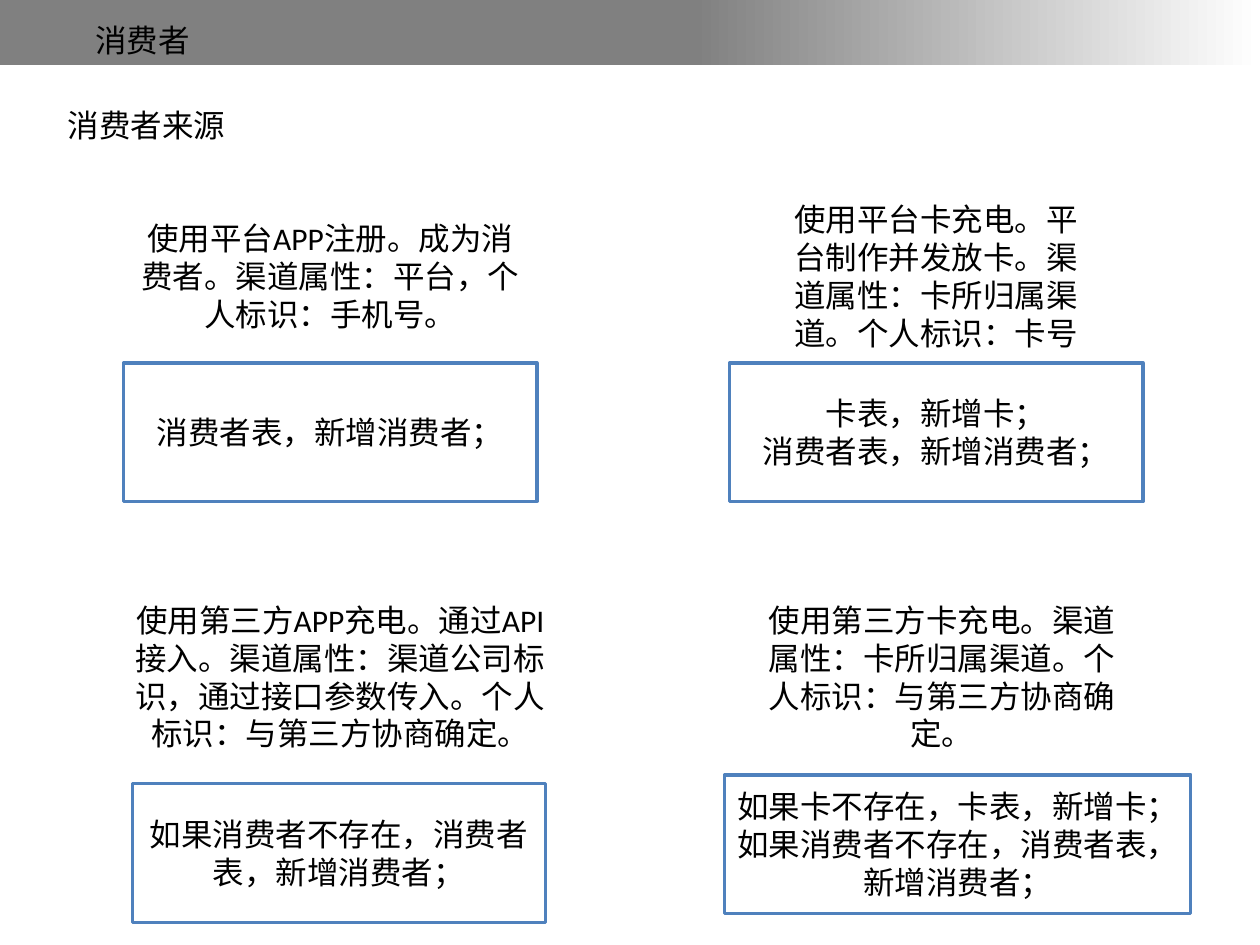
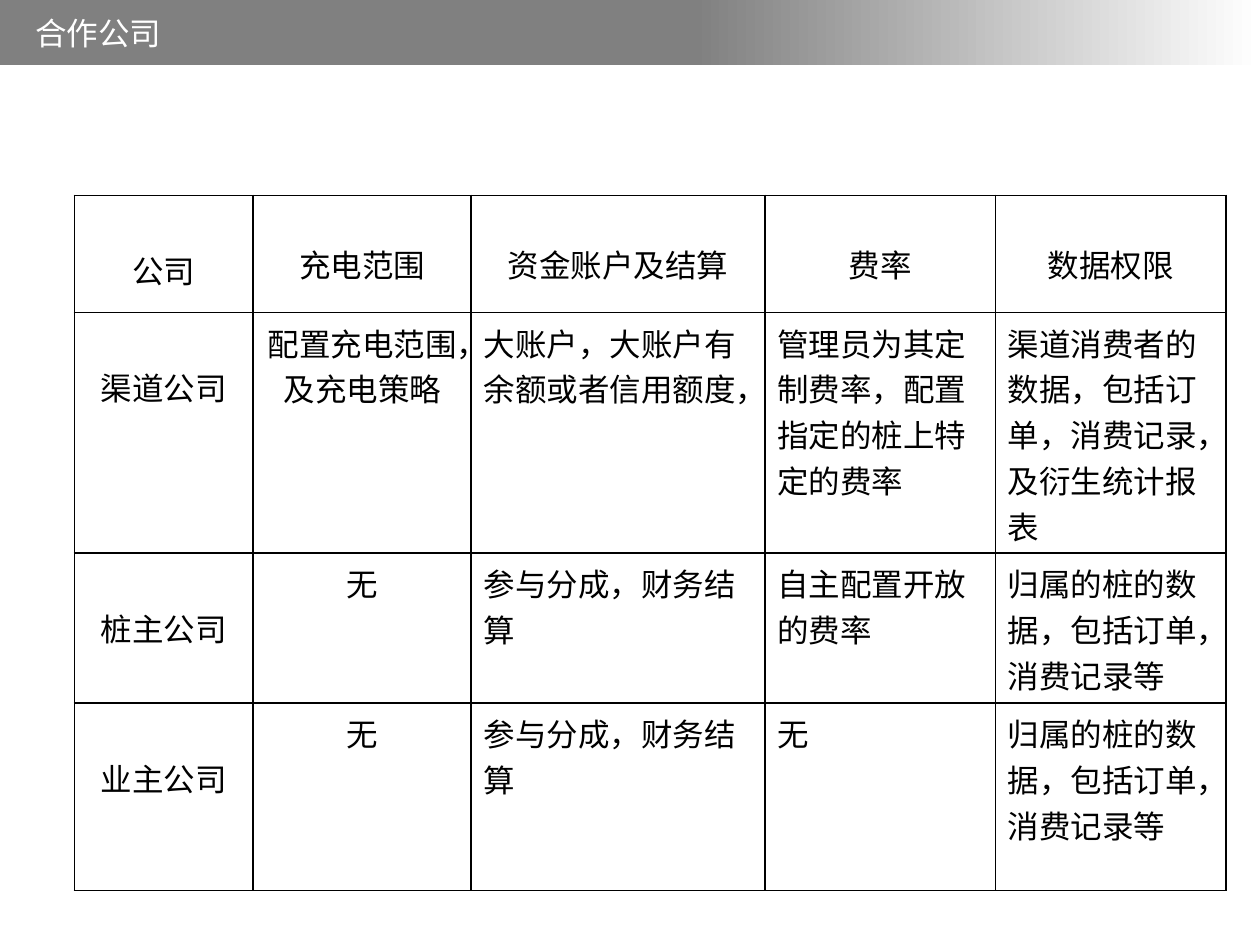
import pptx
import pptx.dml.color
import pptx.enum.shapes
import pptx.enum.text
import pptx.oxml
import pptx.oxml.ns
import pptx.util

Inches = pptx.util.Inches
Pt = pptx.util.Pt
ALIGN = pptx.enum.text.PP_ALIGN
ANCHOR = pptx.enum.text.MSO_ANCHOR
SHAPE = pptx.enum.shapes.MSO_SHAPE

FONT = "Calibri"
BLACK, WHITE, GRAY, BLUE = "000000", "FFFFFF", "808080", "4F81BD"
TABLE_SPACING = 1.19
NAME_SPACING = 2.35

SOURCES = [
    ((0.98, 1.69, 3.28, 1.01),
     "使用平台APP注册。成为消费者。渠道属性：平台，个人标识：手机号。",
     (0.98, 2.88, 3.28, 1.1), ["消费者表，新增消费者；"]),
    ((6.09, 1.54, 2.68, 1.31),
     "使用平台卡充电。平台制作并发放卡。渠道属性：卡所归属渠道。个人标识：卡号",
     (5.79, 2.88, 3.28, 1.1), ["卡表，新增卡；", "消费者表，新增消费者；"]),
    ((0.95, 4.72, 3.5, 1.31),
     "使用第三方APP充电。通过API接入。渠道属性：渠道公司标识，通过接口参数传入。个人标识：与第三方协商确定。",
     (1.05, 6.22, 3.28, 1.1), ["如果消费者不存在，消费者表，新增消费者；"]),
    ((5.98, 4.72, 2.99, 1.31),
     "使用第三方卡充电。渠道属性：卡所归属渠道。个人标识：与第三方协商确定。",
     (5.75, 6.15, 3.7, 1.1),
     ["如果卡不存在，卡表，新增卡；", "如果消费者不存在，消费者表，新增消费者；"]),
]

COLUMN_WIDTHS = [1.42, 1.73, 2.33, 1.83, 1.83]
ROW_HEIGHTS = [0.93, 1.91, 1.19, 1.49]
COMPANIES = [
    ["公司", "充电范围", "资金账户及结算", "费率", "数据权限"],
    ["渠道公司", "配置充电范围，及充电策略", "大账户，大账户有余额或者信用额度，",
     "管理员为其定制费率，配置指定的桩上特定的费率",
     "渠道消费者的数据，包括订单，消费记录，及衍生统计报表"],
    ["桩主公司", "无", "参与分成，财务结算", "自主配置开放的费率",
     "归属的桩的数据，包括订单，消费记录等"],
    ["业主公司", "无", "参与分成，财务结算", "无",
     "归属的桩的数据，包括订单，消费记录等"],
]


def rgb(value):
    return pptx.dml.color.RGBColor.from_string(value)


def inches(box):
    return [Inches(v) for v in box]


def apply(target, values):
    for name, value in values.items():
        setattr(target, name, value)


def write(tf, lines, color=BLACK, **paragraph_format):
    for i, line in enumerate(lines):
        p = tf.paragraphs[0] if i == 0 else tf.add_paragraph()
        apply(p, paragraph_format)
        r = p.add_run()
        r.text = line
        apply(r.font, {"name": FONT, "size": Pt(18)})
        r.font.color.rgb = rgb(color)
        rPr = r._r.get_or_add_rPr()
        rPr.set("lang", "zh-CN")
        ea = pptx.oxml.parse_xml(
            f'<a:ea {pptx.oxml.ns.nsdecls("a")} typeface="{FONT}"/>')
        rPr.find(pptx.oxml.ns.qn("a:latin")).addnext(ea)


def add_text(s, box, text, color=BLACK, wrap=True, align=ALIGN.LEFT):
    tf = s.shapes.add_textbox(*inches(box)).text_frame
    apply(tf, {"word_wrap": wrap,
               "auto_size": pptx.enum.text.MSO_AUTO_SIZE.SHAPE_TO_FIT_TEXT})
    write(tf, [text], color, alignment=align)


def add_band(s):
    sp = s.shapes.add_shape(SHAPE.RECTANGLE, *inches((0, 0, 10, 0.52)))
    sp.shadow.inherit = False
    sp.line.fill.background()
    sp.fill.gradient()
    sp.fill.gradient_angle = 0
    stops = [(0.55, GRAY), (1, WHITE)]
    for stop, (position, color) in zip(sp.fill.gradient_stops, stops):
        stop.position = position
        stop.color.rgb = rgb(color)


def add_slide(prs, title, title_box, title_color):
    s = prs.slides.add_slide(prs.slide_layouts[6])
    add_band(s)
    add_text(s, title_box, title, title_color, wrap=False)
    return s


def add_process(s, box, lines):
    sp = s.shapes.add_shape(SHAPE.FLOWCHART_PROCESS, *inches(box))
    sp.shadow.inherit = False
    sp.fill.solid()
    sp.fill.fore_color.rgb = rgb(WHITE)
    sp.line.color.rgb = rgb(BLUE)
    sp.line.width = Pt(2)
    apply(sp.text_frame, {"word_wrap": True, "vertical_anchor": ANCHOR.MIDDLE})
    write(sp.text_frame, lines, alignment=ALIGN.CENTER)


def add_borders(cell):
    tcPr = cell._tc.get_or_add_tcPr()
    for side in ("lnL", "lnR", "lnT", "lnB"):
        tcPr.append(pptx.oxml.parse_xml(
            f'<a:{side} {pptx.oxml.ns.nsdecls("a")} w="{Pt(1)}"><a:solidFill>'
            f'<a:srgbClr val="{BLACK}"/></a:solidFill></a:{side}>'))


def add_company_table(s):
    frame = s.shapes.add_table(
        len(COMPANIES), len(COLUMN_WIDTHS),
        *inches((0.59, 1.55, sum(COLUMN_WIDTHS), sum(ROW_HEIGHTS))))
    table = frame.table
    apply(table, {"first_row": False, "horz_banding": False})
    for column, width in zip(table.columns, COLUMN_WIDTHS):
        column.width = Inches(width)
    for row, height in zip(table.rows, ROW_HEIGHTS):
        row.height = Inches(height)
    for i, texts in enumerate(COMPANIES):
        for j, text in enumerate(texts):
            cell = table.cell(i, j)
            add_borders(cell)
            cell.fill.background()
            if i == 0 and j > 0:
                cell.margin_top = Inches(0.36)
            write(cell.text_frame, [text],
                  alignment=ALIGN.CENTER if i == 0 or j < 2 else ALIGN.LEFT,
                  line_spacing=NAME_SPACING if j == 0 else TABLE_SPACING)


def main():
    prs = pptx.Presentation()
    apply(prs, {"slide_width": Inches(10), "slide_height": Inches(7.5)})

    s = add_slide(prs, "消费者", (0.66, 0.12, 0.96, 0.4), BLACK)
    add_text(s, (0.44, 0.79, 1.81, 0.4), "消费者来源", wrap=False)
    for text_box, text, process_box, lines in SOURCES:
        add_text(s, text_box, text, align=ALIGN.CENTER)
        add_process(s, process_box, lines)

    s = add_slide(prs, "合作公司", (0.18, 0.06, 1.35, 0.4), WHITE)
    add_company_table(s)

    prs.save("out.pptx")


if __name__ == "__main__":
    main()
